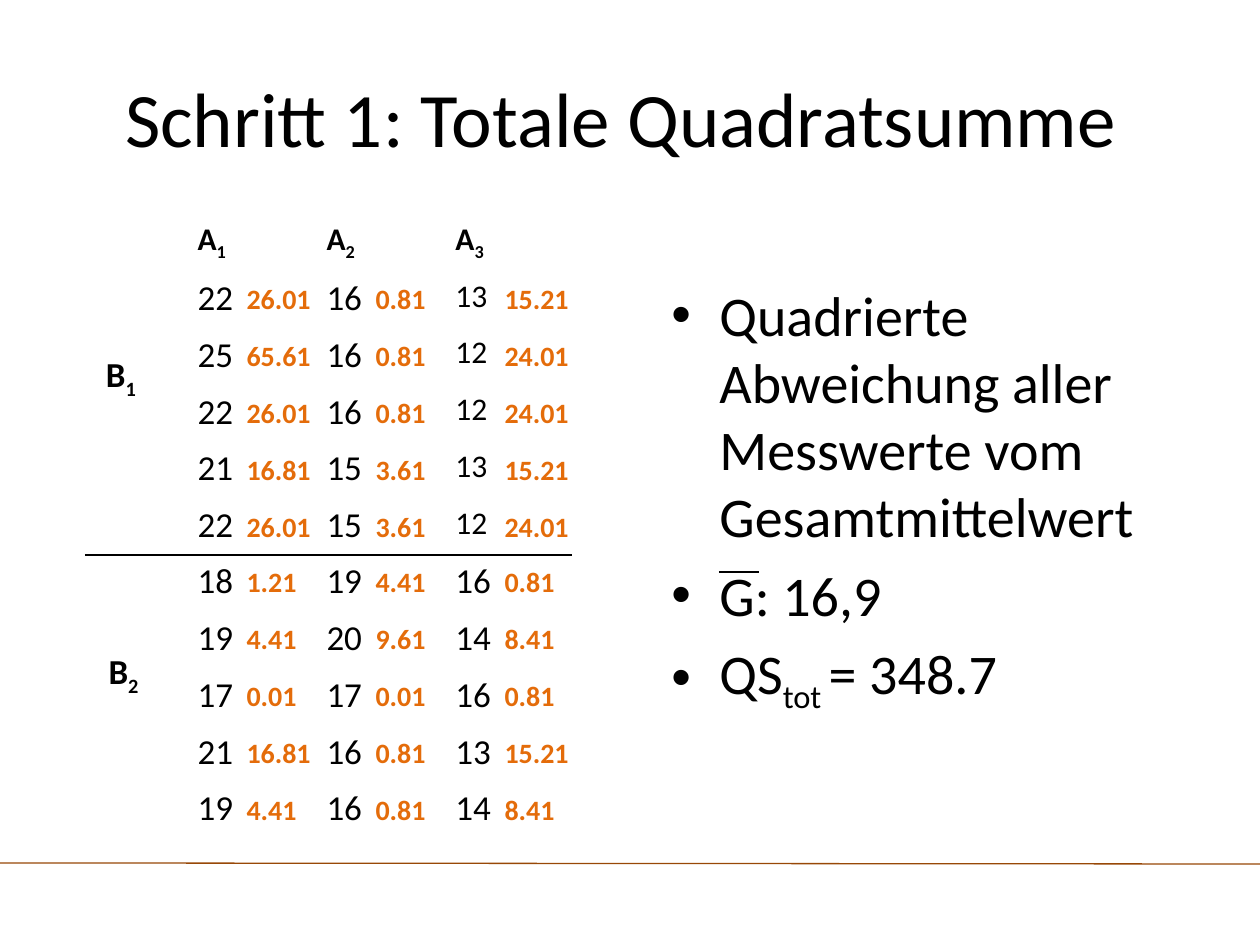
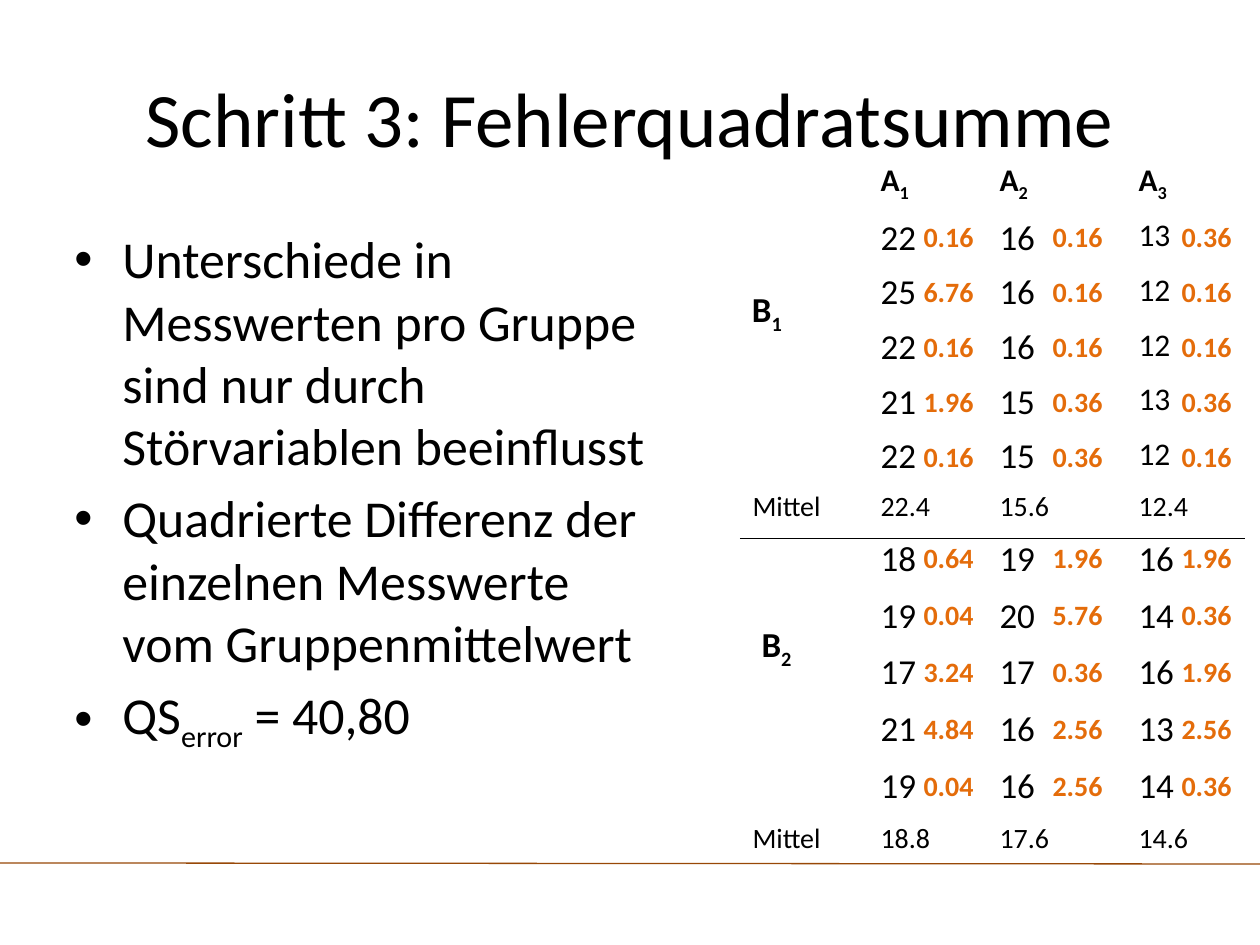
from lxml.etree import SubElement
from pptx import Presentation
from pptx.dml.color import RGBColor
from pptx.enum.shapes import MSO_CONNECTOR
from pptx.enum.text import MSO_ANCHOR, PP_ALIGN
from pptx.oxml import parse_xml
from pptx.oxml.ns import nsdecls, qn
from pptx.util import Emu, Pt

PX = 914400 / 126
BLACK, ORANGE, BROWN = "000000", "E46C0A", "984807"
NO_TABLE_STYLE = "{2D5ABB26-0587-4C30-8999-92F81FD0307C}"
BULLET_INDENT = 48

# Text between bars is set as a subscript: "A|1" reads A with a low 1.
FACTOR_A = ["A|1", "A|2", "A|3"]
MEASUREMENTS = {
    "B|1": [(22, 16, 13), (25, 16, 12), (22, 16, 12), (21, 15, 13), (22, 15, 12)],
    "B|2": [(18, 19, 16), (19, 20, 14), (17, 17, 16), (21, 16, 13), (19, 16, 14)],
}
VALUE_SIZES = {"B|1": (20, 20, 18), "B|2": (20, 20, 20)}
LABEL_TOP_MARGINS = {"B|1": 134, "B|2": 92}
DEVIATION_WIDTHS = [129, 129, 129]
GRAND_MEAN = 16.9

# Each table: kind, group, (left, top, height), column widths.
SLIDES = [
    {
        "title": "Schritt 1: Totale Quadratsumme ",
        "bullets": [
            "Quadrierte Abweichung aller Messwerte vom Gesamtmittelwert",
            "G: 16,9",
            "QS|tot |= 348.7",
        ],
        "bullet_box": (659, 274, 537, 570),
        "bullet_size": 32,
        "mean_bar": (719, 572, 759, 572),
        "group_means": False,
        "label_side_margin": 160,
        "tables": [
            ("label", "B|1", (-54, 220, 340), [1135]),
            ("values", "B|1", (85, 214, 341), [100, 129, 129, 129]),
            ("deviations", "B|1", (234, 277, 285), DEVIATION_WIDTHS),
            ("values", "B|2", (85, 554, 284), [100, 129, 129, 129]),
            ("label", "B|2", (96, 559, 284), [89]),
            ("deviations", "B|2", (234, 560, 285), DEVIATION_WIDTHS),
        ],
    },
    {
        "title": "Schritt 3: Fehlerquadratsumme",
        "bullets": [
            "Unterschiede in Messwerten pro Gruppe sind nur durch "
            "Störvariablen beeinflusst",
            "Quadrierte Differenz der einzelnen Messwerte vom Gruppenmittelwert",
            "QS|error| = 40,80",
        ],
        "bullet_box": (62, 221, 606, 624),
        "bullet_size": 29.6,
        "mean_bar": None,
        "group_means": True,
        "label_side_margin": 13,
        "tables": [
            ("values", "B|1", (740, 155, 382), [128, 119, 139, 119]),
            ("values", "B|2", (740, 532, 340), [128, 119, 139, 100]),
            ("label", "B|1", (739, 155, 340), [69]),
            ("label", "B|2", (749, 532, 284), [89]),
            ("deviations", "B|1", (911, 215, 275), DEVIATION_WIDTHS),
            ("deviations", "B|2", (911, 536, 285), DEVIATION_WIDTHS),
        ],
    },
]


def px(length):
    return Emu(round(length * PX))


def color(hex_string):
    return RGBColor.from_string(hex_string)


def write(paragraph, text, size=18, bold=False, fill=BLACK):
    """Add text to a paragraph, with every second bar-separated part lowered."""
    for index, part in enumerate(text.split("|")):
        run = paragraph.add_run()
        run.text = part
        run.font.name = "Calibri"
        run.font.size = Pt(size)
        run.font.bold = bold
        run.font.color.rgb = color(fill)
        if index % 2:
            run.font._element.set("baseline", "-25000")


def add_line(slide, ends, fill, width):
    line = slide.shapes.add_connector(MSO_CONNECTOR.STRAIGHT, *map(px, ends))
    line.line.color.rgb = color(fill)
    line.line.width = Pt(width)
    SubElement(line._element.spPr, qn("a:effectLst"))


def add_text_frame(slide, box):
    frame = slide.shapes.add_textbox(*map(px, box)).text_frame
    frame.word_wrap = True
    return frame


def add_title(slide, text):
    frame = add_text_frame(slide, (63, 38, 1134, 157))
    frame.vertical_anchor = MSO_ANCHOR.MIDDLE
    frame.paragraphs[0].alignment = PP_ALIGN.CENTER
    write(frame.paragraphs[0], text, size=44)


def add_bullets(slide, box, bullets, size):
    frame = add_text_frame(slide, box)
    for index, text in enumerate(bullets):
        paragraph = frame.add_paragraph() if index else frame.paragraphs[0]
        paragraph.space_before = Pt(size * 0.2)
        properties = paragraph._p.get_or_add_pPr()
        properties.set("marL", str(px(BULLET_INDENT)))
        properties.set("indent", str(-px(BULLET_INDENT)))
        SubElement(properties, qn("a:buFont"), typeface="Arial")
        SubElement(properties, qn("a:buChar"), char="•")
        write(paragraph, text, size=size)


def rule_below(cell):
    cell._tc.get_or_add_tcPr().insert(0, parse_xml(
        f'<a:lnB {nsdecls("a")} w="12700"><a:solidFill>'
        f'<a:srgbClr val="{BLACK}"/></a:solidFill></a:lnB>'))


def add_grid(slide, place, widths, rows):
    """Add a plain table; rows hold (text, format) pairs, None leaves a cell empty."""
    left, top, height = place
    table = slide.shapes.add_table(
        len(rows), len(widths), px(left), px(top), px(sum(widths)), px(height)).table
    table.first_row = table.horz_banding = False
    table._tbl.tblPr.find(qn("a:tableStyleId")).text = NO_TABLE_STYLE
    for column, width in zip(table.columns, widths):
        column.width = px(width)
    for table_row, row in zip(table.rows, rows):
        table_row.height = px(height / len(rows))
        for cell, content in zip(table_row.cells, row):
            cell.fill.background()
            if content:
                text, text_format = content
                write(cell.text_frame.paragraphs[0], text, **text_format)
    return table


def value_rows(group, group_means, with_means):
    rows = [[None] + [(str(value), {"size": size})
                      for value, size in zip(row, VALUE_SIZES[group])]
            for row in MEASUREMENTS[group]]
    if group == "B|1":
        rows.insert(0, [None] + [(name, {"bold": True}) for name in FACTOR_A])
    if with_means:
        texts = ["Mittel"] + [f"{mean:.1f}" for mean in group_means]
        rows.append([(text, {"size": 16}) for text in texts])
    return rows


def deviation_rows(group, reference_means):
    """Squared deviations of a group's values from one mean per column."""
    deviation_format = {"size": 16, "bold": True, "fill": ORANGE}
    return [[(f"{(value - mean) ** 2:.2f}", deviation_format)
             for value, mean in zip(row, reference_means)]
            for row in MEASUREMENTS[group]]


def add_group_table(slide, content, kind, group, place, widths):
    with_means = content["group_means"]
    group_means = [sum(column) / len(column) for column in zip(*MEASUREMENTS[group])]
    if kind == "values":
        table = add_grid(slide, place, widths, value_rows(group, group_means, with_means))
        if group == "B|1":
            for cell in table.rows[len(table.rows) - 1].cells:
                rule_below(cell)
    elif kind == "deviations":
        reference_means = group_means if with_means else [GRAND_MEAN] * len(FACTOR_A)
        add_grid(slide, place, widths, deviation_rows(group, reference_means))
    else:
        table = add_grid(slide, place, widths, [[(group, {"size": 20, "bold": True})]])
        cell = table.cell(0, 0)
        cell.margin_top = px(LABEL_TOP_MARGINS[group])
        if group == "B|1":
            cell.margin_left = cell.margin_right = px(content["label_side_margin"])


def build_slide(presentation, content):
    slide = presentation.slides.add_slide(presentation.slide_layouts[6])
    add_line(slide, (0, 863, 1260, 864), BROWN, 0.75)
    add_title(slide, content["title"])
    add_bullets(slide, content["bullet_box"], content["bullets"], content["bullet_size"])
    for table in content["tables"]:
        add_group_table(slide, content, *table)
    if content["mean_bar"]:
        add_line(slide, content["mean_bar"], BLACK, 1)


def main():
    presentation = Presentation()
    presentation.slide_width, presentation.slide_height = px(1260), px(945)
    for content in SLIDES:
        build_slide(presentation, content)
    presentation.save("out.pptx")


if __name__ == "__main__":
    main()
